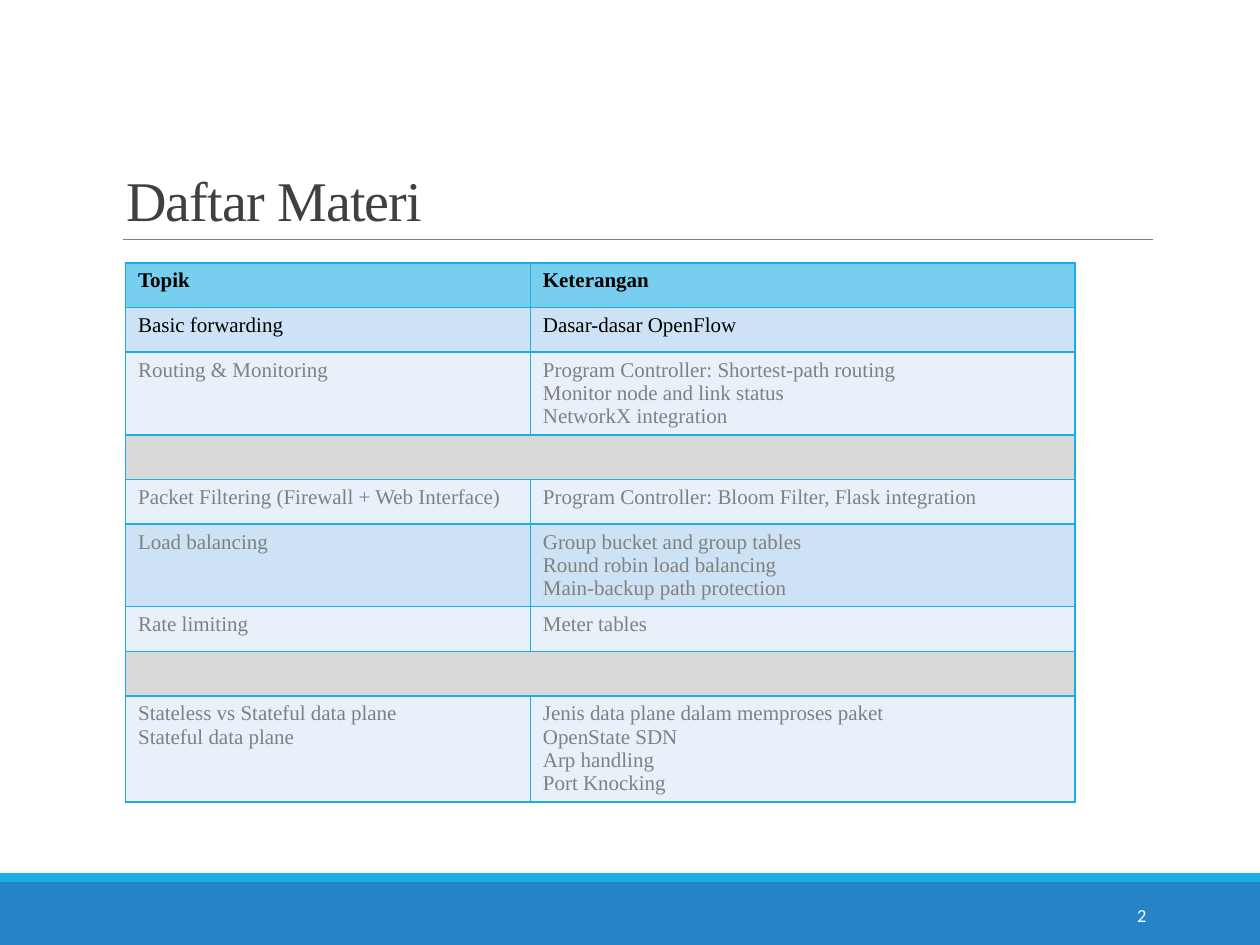
from lxml.etree import SubElement
from pptx import Presentation
from pptx.dml.color import RGBColor
from pptx.enum.shapes import MSO_CONNECTOR, MSO_SHAPE
from pptx.enum.text import MSO_ANCHOR, MSO_AUTO_SIZE, PP_ALIGN
from pptx.oxml.ns import qn
from pptx.util import Cm, Pt

BLACK = RGBColor(0x00, 0x00, 0x00)
WHITE = RGBColor(0xFF, 0xFF, 0xFF)
DARK = RGBColor(0x40, 0x40, 0x40)
GREY = RGBColor(0x80, 0x80, 0x80)
SKY = RGBColor(0x1C, 0xAD, 0xE4)
BLUE = RGBColor(0x26, 0x83, 0xC6)
HEADER = RGBColor(0x77, 0xCE, 0xEF)
BAND = RGBColor(0xCD, 0xE3, 0xF5)
PALE = RGBColor(0xE8, 0xF1, 0xFA)
DIVIDER = RGBColor(0xD9, 0xD9, 0xD9)
SERIF = "Times New Roman"

# Content: topic, description, fill, text colour; None marks a divider row
TITLE = "Daftar Materi"
PAGE = "2"
TOPICS = [
    ("Topik", "Keterangan", HEADER, BLACK),
    ("Basic forwarding", "Dasar-dasar OpenFlow", BAND, BLACK),
    ("Routing & Monitoring",
     "Program Controller: Shortest-path routing\n"
     "Monitor node and link status\nNetworkX integration", PALE, GREY),
    None,
    ("Packet Filtering (Firewall + Web Interface)",
     "Program Controller: Bloom Filter, Flask integration", PALE, GREY),
    ("Load balancing",
     "Group bucket and group tables\nRound robin load balancing\n"
     "Main-backup path protection", BAND, GREY),
    ("Rate limiting", "Meter tables", PALE, GREY),
    None,
    ("Stateless vs Stateful data plane\nStateful data plane",
     "Jenis data plane dalam memproses paket\nOpenState SDN\n"
     "Arp handling\nPort Knocking", PALE, GREY),
]
COLUMN_WIDTHS = (Cm(8.16), Cm(10.98))
ROW_HEIGHT = Cm(0.9)
LINE_HEIGHT = Cm(0.47)
CELL_MARGINS = Cm(0.25)


def style_runs(frame, size, font, color, bold=False):
    for paragraph in frame.paragraphs:
        for run in paragraph.runs:
            run.font.size = Pt(size)
            run.font.name = font
            run.font.bold = bold
            run.font.color.rgb = color


def style_cell(cell, fill, border=SKY):
    properties = cell._tc.get_or_add_tcPr()
    for side in ("a:lnL", "a:lnR", "a:lnT", "a:lnB"):
        line = SubElement(properties, qn(side), w=str(Pt(1)))
        solid = SubElement(line, qn("a:solidFill"))
        SubElement(solid, qn("a:srgbClr"), val=str(border))
    cell.fill.solid()
    cell.fill.fore_color.rgb = fill


prs = Presentation()
prs.slide_width, prs.slide_height = Cm(25.4), Cm(19.05)
slide = prs.slides.add_slide(prs.slide_layouts[5])

# Footer bands
for top, height, color in ((17.78, 1.27, BLUE), (17.6, 0.18, SKY)):
    band = slide.shapes.add_shape(
        MSO_SHAPE.RECTANGLE, 0, Cm(top), prs.slide_width, Cm(height))
    band.shadow.inherit = False
    band.fill.solid()
    band.fill.fore_color.rgb = color
    band.line.fill.background()

# Title and the rule below it
title = slide.shapes.title
title.left, title.top, title.width, title.height = (
    Cm(2.29), Cm(0.79), Cm(20.95), Cm(4.03))
heading = title.text_frame
heading.text = TITLE
heading.auto_size = MSO_AUTO_SIZE.NONE
heading.vertical_anchor = MSO_ANCHOR.BOTTOM
heading.paragraphs[0].alignment = PP_ALIGN.LEFT
heading.paragraphs[0].line_spacing = 0.85
style_runs(heading, 32, SERIF, DARK)
heading.paragraphs[0].runs[0].font._element.set("spc", "-50")

rule = slide.shapes.add_connector(
    MSO_CONNECTOR.STRAIGHT, Cm(2.48), Cm(4.83), Cm(23.24), Cm(4.83))
rule.line.color.rgb = GREY
rule.line.width = Pt(0.5)
SubElement(rule._element.spPr, qn("a:effectLst"))

# Topic table
table = slide.shapes.add_table(
    len(TOPICS), len(COLUMN_WIDTHS), Cm(2.53), Cm(5.3),
    sum(COLUMN_WIDTHS), ROW_HEIGHT * len(TOPICS)).table
table.first_row = table.horz_banding = False
for column, width in zip(table.columns, COLUMN_WIDTHS):
    column.width = width

for index, topic in enumerate(TOPICS):
    row = table.rows[index]
    row.height = ROW_HEIGHT
    if topic is None:
        row.cells[0].merge(row.cells[1])
        for cell in row.cells:
            style_cell(cell, DIVIDER)
            SubElement(cell.text_frame.paragraphs[0]._p,
                       qn("a:endParaRPr"), sz="1200")
        continue
    *texts, fill, color = topic
    lines = max(text.count("\n") + 1 for text in texts)
    row.height = max(ROW_HEIGHT, LINE_HEIGHT * lines + CELL_MARGINS)
    for cell, text in zip(row.cells, texts):
        cell.text_frame.text = text
        style_runs(cell.text_frame, 12, SERIF, color, bold=index == 0)
        style_cell(cell, fill)

# Page number
number = slide.shapes.add_textbox(
    Cm(20.62), Cm(17.93), Cm(2.74), Cm(1.02)).text_frame
number.text = PAGE
number.word_wrap = True
number.vertical_anchor = MSO_ANCHOR.MIDDLE
number.paragraphs[0].alignment = PP_ALIGN.RIGHT
style_runs(number, 10.5, "Calibri", WHITE)

prs.save("out.pptx")
